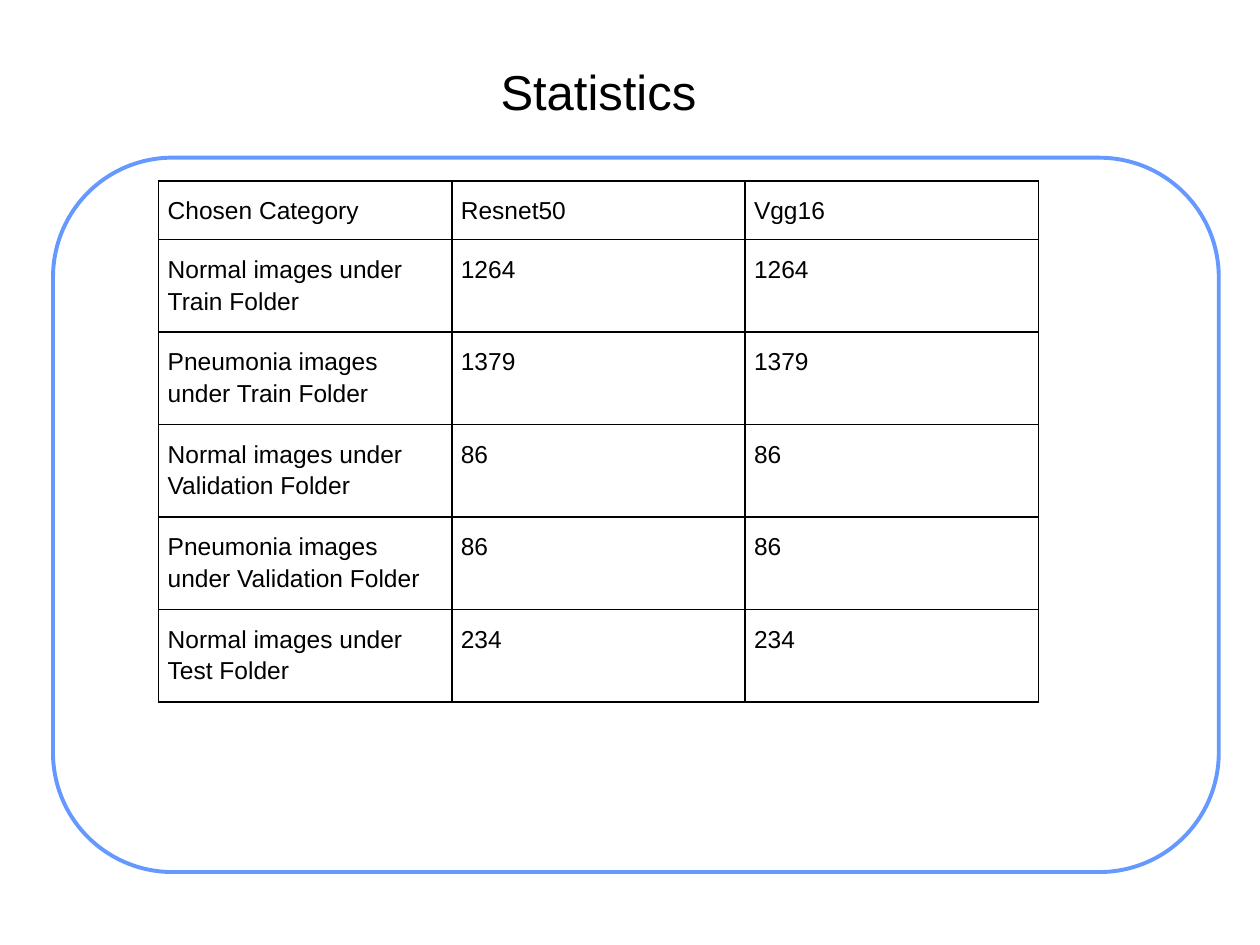
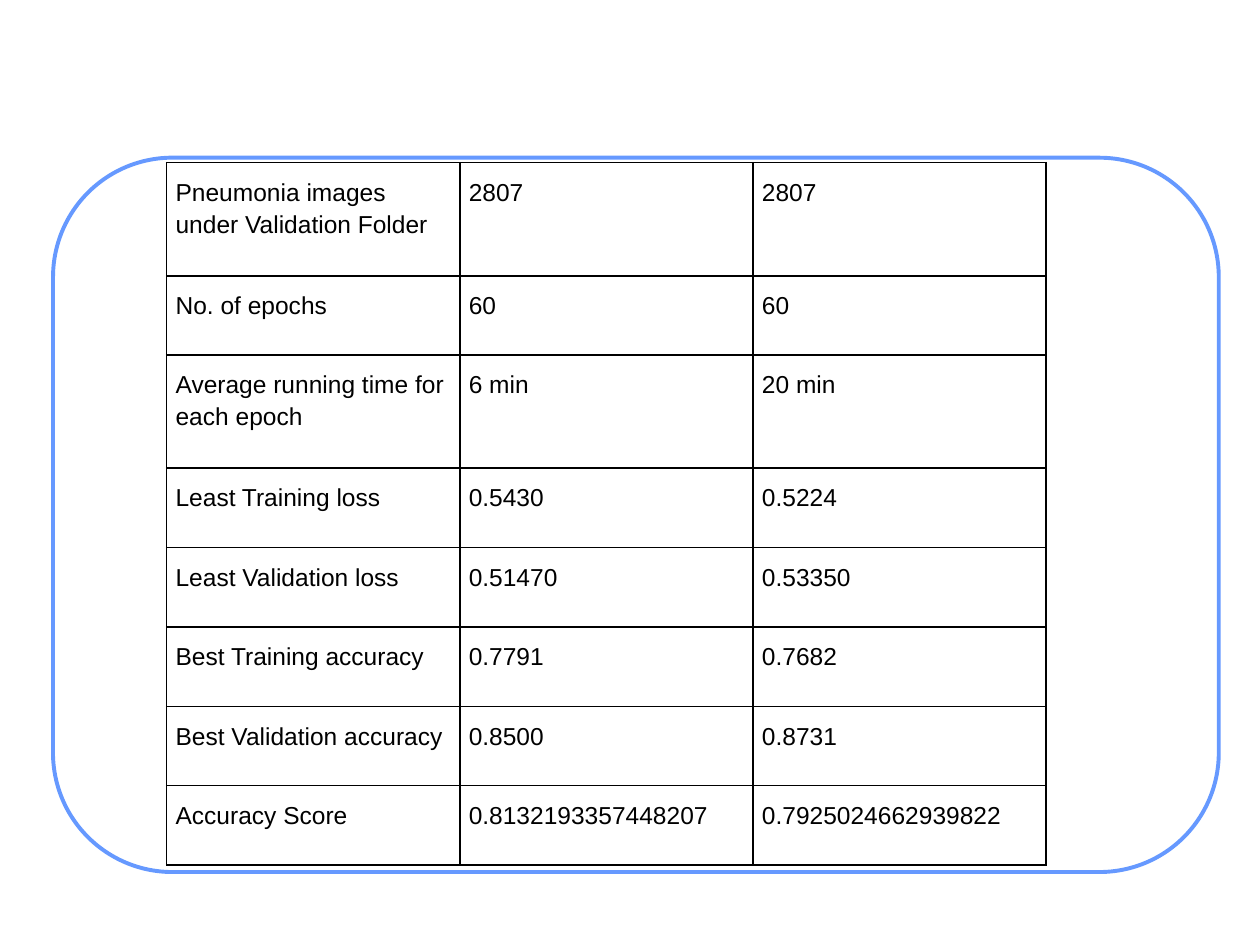
from collections import namedtuple

from lxml import etree
from pptx import Presentation
from pptx import util as u
from pptx.dml.color import RGBColor
from pptx.enum import shapes, text
from pptx.oxml import ns

Box = namedtuple("Box", "left top width height")

BLACK = RGBColor(0x00, 0x00, 0x00)
WHITE = RGBColor(0xFF, 0xFF, 0xFF)
PANEL_BLUE = RGBColor(0x66, 0x99, 0xFF)
FONT = "Arial"

TITLE_BOX = Box(2.54, 0.71, 19.05, 2.24)
PANEL_BOX = Box(1.07, 3.18, 23.5, 14.4)
COLUMN_WIDTH = 5.91

DATASET_ROWS = [
    ("Chosen Category", "Resnet50", "Vgg16"),
    ("Normal images under Train Folder", "1264", "1264"),
    ("Pneumonia images under Train Folder", "1379", "1379"),
    ("Normal images under Validation Folder", "86", "86"),
    ("Pneumonia images under Validation Folder", "86", "86"),
    ("Normal images under Test Folder", "234", "234"),
]
DATASET_HEIGHTS = [1.13] + [1.78] * 5

TRAINING_ROWS = [
    ("Pneumonia images under Validation Folder", "2807", "2807"),
    ("No. of epochs", "60", "60"),
    ("Average running time for each epoch", "6 min", "20 min"),
    ("Least Training loss", "0.5430", "0.5224"),
    ("Least Validation loss", "0.51470", "0.53350"),
    ("Best Training accuracy", "0.7791", "0.7682"),
    ("Best Validation accuracy", "0.8500", "0.8731"),
    ("Accuracy Score", "0.8132193357448207", "0.7925024662939822"),
]
TRAINING_HEIGHTS = [2.28, 1.6, 2.28] + [1.6] * 5


def in_cm(box):
    return [u.Cm(length) for length in box]


def add_run(paragraph, words, size):
    run = paragraph.add_run()
    run.text = words
    run.font.name = FONT
    run.font.size = u.Pt(size)
    run.font.color.rgb = BLACK


def add_title(slide, box, words):
    frame = slide.shapes.add_textbox(*in_cm(box)).text_frame
    frame.word_wrap = True
    frame.vertical_anchor = text.MSO_ANCHOR.MIDDLE
    frame.paragraphs[0].alignment = text.PP_ALIGN.CENTER
    add_run(frame.paragraphs[0], words, 28)


def add_panel(slide, box):
    panel = slide.shapes.add_shape(shapes.MSO_SHAPE.ROUNDED_RECTANGLE, *in_cm(box))
    panel.adjustments[0] = 0.167
    panel.shadow.inherit = False
    panel.fill.solid()
    panel.fill.fore_color.rgb = WHITE
    panel.line.color.rgb = PANEL_BLUE
    panel.line.width = u.Pt(2.25)


def add_borders(cell):
    properties = cell._tc.get_or_add_tcPr()
    for side in ("a:lnL", "a:lnR", "a:lnT", "a:lnB"):
        border = etree.SubElement(properties, ns.qn(side), w=str(u.Pt(1)))
        fill = etree.SubElement(border, ns.qn("a:solidFill"))
        etree.SubElement(fill, ns.qn("a:srgbClr"), val=str(BLACK))


def fill_cell(cell, words):
    cell.margin_left = cell.margin_right = u.Cm(0.18)
    cell.margin_top = cell.margin_bottom = u.Cm(0.25)
    add_borders(cell)
    cell.fill.background()
    paragraph = cell.text_frame.paragraphs[0]
    paragraph.line_spacing = 1.15
    paragraph.space_before = u.Pt(12)
    add_run(paragraph, words, 14)


def add_statistics(slide, panel, indent, drop, rows, heights):
    box = Box(panel.left + indent, panel.top + drop,
              COLUMN_WIDTH * len(rows[0]), sum(heights))
    table = slide.shapes.add_table(len(rows), len(rows[0]), *in_cm(box)).table
    table.first_row = table.horz_banding = False
    for column in table.columns:
        column.width = u.Cm(COLUMN_WIDTH)
    for row, height, entries in zip(table.rows, heights, rows):
        row.height = u.Cm(height)
        for cell, words in zip(row.cells, entries):
            fill_cell(cell, words)


def add_panel_slide(deck):
    slide = deck.slides.add_slide(deck.slide_layouts[6])
    add_panel(slide, PANEL_BOX)
    return slide


def main():
    deck = Presentation()
    deck.slide_width, deck.slide_height = u.Cm(25.4), u.Cm(19.05)

    dataset = add_panel_slide(deck)
    add_title(dataset, TITLE_BOX, "Statistics")
    add_statistics(dataset, PANEL_BOX, 2.13, 0.47, DATASET_ROWS, DATASET_HEIGHTS)

    training = add_panel_slide(deck)
    add_statistics(training, PANEL_BOX, 2.29, 0.1, TRAINING_ROWS, TRAINING_HEIGHTS)

    deck.save("out.pptx")


if __name__ == "__main__":
    main()
